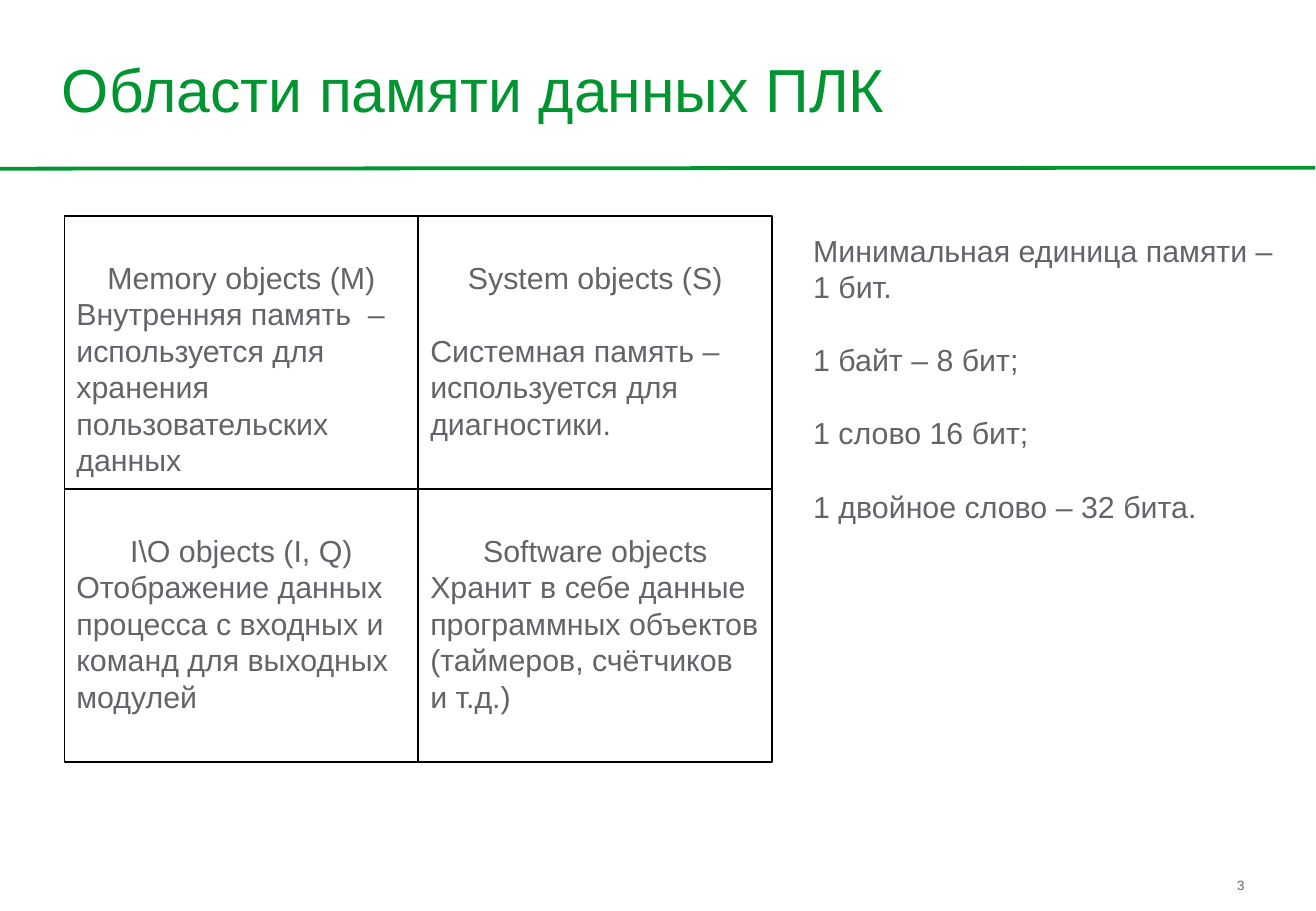
import pptx
import pptx.util
import pptx.dml.color
import pptx.enum.shapes
import pptx.enum.text
import lxml.etree

Pt = pptx.util.Pt
Align = pptx.enum.text.PP_ALIGN
Anchor = pptx.enum.text.MSO_ANCHOR
Kind = pptx.enum.shapes

HUES = {"green": "009530", "gray": "626469", "black": "000000", "white": "FFFFFF"}
TITLE = "Области памяти данных ПЛК"
PAGE = "3"
CELLS = [
    [("Memory objects (M)", 0,
      "Внутренняя память  – используется для хранения пользовательских данных"),
     ("System objects (S)", 1,
      "Системная память – используется для диагностики.")],
    [("I\\O objects (I, Q)", 0,
      "Отображение данных процесса с входных и команд для выходных модулей"),
     ("Software objects", 0,
      "Хранит в себе данные программных объектов (таймеров, счётчиков\vи т.д.)")],
]
UNITS = [
    "Минимальная единица памяти – 1 бит.",
    "1 байт – 8 бит;",
    "1 слово 16 бит;",
    "1 двойное слово – 32 бита.",
]
LEFT, TOP, WIDE, HIGH = 38.2, 128.2, 209.9, 161.7
LINE = 21.65
PAD_X, PAD_Y = 7.2, 3.6


def tint(hue):
    return pptx.dml.color.RGBColor.from_string(HUES[hue])


def apply(item, form):
    for key, val in form.items():
        setattr(item, key, val)


def write(shape, paras, size=18, hue="gray", pads=(PAD_X, PAD_Y, PAD_X, PAD_Y),
          anchor=Anchor.TOP, pitch=LINE):
    frame = shape.text_frame
    left, top, right, base = map(Pt, pads)
    apply(frame, {"word_wrap": True, "vertical_anchor": anchor,
                  "margin_left": left, "margin_top": top,
                  "margin_right": right, "margin_bottom": base})
    for num, (text, align, gap) in enumerate(paras):
        para = frame.add_paragraph() if num else frame.paragraphs[0]
        para.text = text
        apply(para, {"alignment": align, "line_spacing": Pt(pitch),
                     "space_before": Pt(0), "space_after": Pt(gap)})
        for run in para.runs:
            apply(run.font, {"name": "Arial", "size": Pt(size)})
            run.font.color.rgb = tint(hue)


deck = pptx.Presentation()
apply(deck, {"slide_width": Pt(780.48), "slide_height": Pt(540)})
slide = deck.slides.add_slide(deck.slide_layouts[6])
shapes = slide.shapes


def box(*area):
    return shapes.add_textbox(*map(Pt, area))


write(box(733.7, 519.8, 24.5, 5.8), [(PAGE, Align.LEFT, 0)],
      size=8, pads=(0, 0, 0, 0), pitch=9.6)

rule = shapes.add_connector(Kind.MSO_CONNECTOR.STRAIGHT,
                            *map(Pt, (0, 100, 780, 99.4)))
rule.line.color.rgb = tint("green")
rule.line.width = Pt(2.24)
lxml.etree.SubElement(rule.element.spPr, pptx.oxml.ns.qn("a:effectLst"))

write(box(36.7, 7, 706.3, 90.7), [(TITLE, Align.LEFT, 0)], size=36,
      hue="green", pads=(0, 0.7, 0, 0.7), anchor=Anchor.MIDDLE, pitch=43.2)

for row, line in enumerate(CELLS):
    for col, (head, skip, body) in enumerate(line):
        area = (LEFT + col * WIDE, TOP + row * HIGH, WIDE, HIGH)
        cell = shapes.add_shape(Kind.MSO_SHAPE.RECTANGLE, *map(Pt, area))
        cell.shadow.inherit = False
        cell.fill.solid()
        cell.fill.fore_color.rgb = tint("white")
        cell.line.color.rgb = tint("black")
        cell.line.width = Pt(1)
        write(cell, [(head, Align.CENTER, skip * LINE), (body, Align.LEFT, 0)],
              pads=(PAD_X, PAD_Y + LINE, PAD_X, PAD_Y))

write(box(475.2, 133.9, 289.4, 180),
      [(unit, Align.LEFT, LINE) for unit in UNITS])

deck.save("out.pptx")
